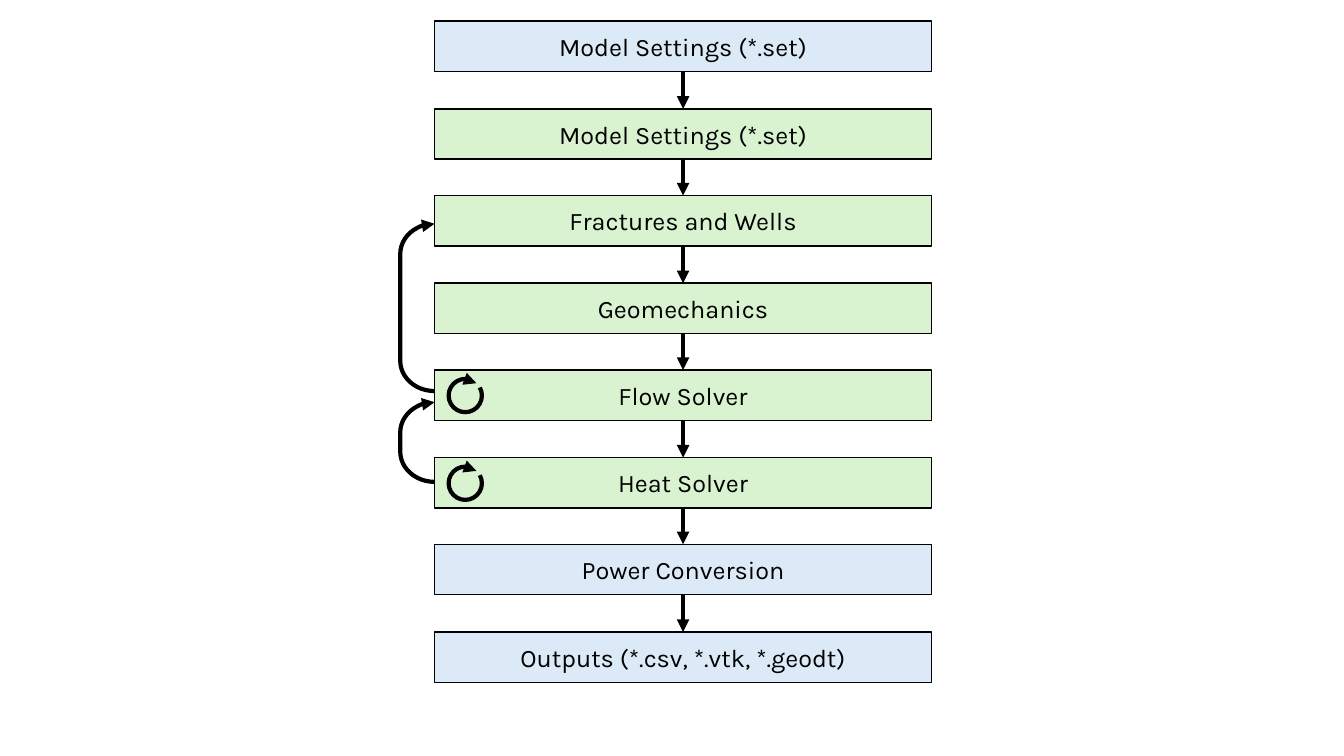
from dataclasses import dataclass

from lxml.etree import SubElement
from pptx import Presentation
from pptx.dml.color import RGBColor
from pptx.enum.shapes import MSO_CONNECTOR, MSO_SHAPE
from pptx.enum.text import MSO_ANCHOR, PP_ALIGN
from pptx.oxml.ns import qn
from pptx.util import Emu, Pt


@dataclass(frozen=True)
class Theme:
    ink: RGBColor = RGBColor(0x00, 0x00, 0x00)
    file_stage: RGBColor = RGBColor(0xDC, 0xEA, 0xF7)
    model_stage: RGBColor = RGBColor(0xD9, 0xF2, 0xD0)
    font: str = "Karla"
    label_size: Pt = Pt(18)
    border: Pt = Pt(1)
    arrow: Pt = Pt(3)


THEME = Theme()
EMU_PER_PX = 9144  # 100 px to the inch

STAGE_LEFT, STAGE_TOP = 431, 21
STAGE_WIDTH, STAGE_HEIGHT = 493, 50
TWO_STAGE_PITCH = 173
LOOP_LEFT, LOOP_WIDTH = 397, 34
ARC_UNITS_PER_DEGREE = 0.6

STAGES = [
    ("Model Settings (*.set)", THEME.file_stage),
    ("Model Settings (*.set)", THEME.model_stage),
    ("Fractures and Wells", THEME.model_stage),
    ("Geomechanics", THEME.model_stage),
    ("Flow Solver", THEME.model_stage),
    ("Heat Solver", THEME.model_stage),
    ("Power Conversion", THEME.file_stage),
    ("Outputs (*.csv, *.vtk, *.geodt)", THEME.file_stage),
]
SOLVER_ROWS = (4, 5)
FEEDBACK_SPANS = [(222, 166), (399, 79)]  # top and height of each loop


def px(length):
    return Emu(length * EMU_PER_PX)


def stage_top(row):
    return STAGE_TOP + (row * TWO_STAGE_PITCH + 1) // 2


def style_arrow(arrow):
    arrow.line.color.rgb = THEME.ink
    arrow.line.width = THEME.arrow
    SubElement(arrow.line._get_or_add_ln(), qn("a:tailEnd"), type="triangle")


def add_stage(slide, row, label, colour):
    stage = slide.shapes.add_shape(
        MSO_SHAPE.RECTANGLE, px(STAGE_LEFT), px(stage_top(row)),
        px(STAGE_WIDTH), px(STAGE_HEIGHT))
    stage.shadow.inherit = False
    stage.fill.solid()
    stage.fill.fore_color.rgb = colour
    stage.line.color.rgb = THEME.ink
    stage.line.width = THEME.border
    stage.text_frame.text = label
    stage.text_frame.vertical_anchor = MSO_ANCHOR.MIDDLE
    paragraph = stage.text_frame.paragraphs[0]
    paragraph.alignment = PP_ALIGN.CENTER
    font = paragraph.runs[0].font
    font.name = THEME.font
    font.size = THEME.label_size
    font.color.rgb = THEME.ink
    return stage


def add_step(slide, upper, lower):
    step = slide.shapes.add_connector(MSO_CONNECTOR.STRAIGHT, 0, 0, 0, 0)
    step.begin_connect(upper, 2)
    step.end_connect(lower, 0)
    style_arrow(step)
    SubElement(step._element.spPr, qn("a:effectLst"))


def add_curved_arrow(slide, preset, left, top, width, height, adjustments):
    curve = slide.shapes.add_shape(
        preset, px(left), px(top), px(width), px(height))
    for index, value in enumerate(adjustments):
        curve.adjustments[index] = value
    curve.fill.background()
    style_arrow(curve)
    curve.shadow.inherit = False


def main():
    presentation = Presentation()
    presentation.slide_width = px(1333)
    presentation.slide_height = px(750)
    slide = presentation.slides.add_slide(presentation.slide_layouts[6])

    # Stages, from settings down to outputs
    stages = [add_stage(slide, row, label, colour)
              for row, (label, colour) in enumerate(STAGES)]
    for upper, lower in zip(stages, stages[1:]):
        add_step(slide, upper, lower)

    # Iteration marks inside the solvers
    iteration_angles = [angle * ARC_UNITS_PER_DEGREE for angle in (331, 312)]
    for row in SOLVER_ROWS:
        add_curved_arrow(slide, MSO_SHAPE.ARC, 445, stage_top(row) + 9,
                         33, 33, iteration_angles)

    # Feedback loops to earlier stages
    for top, height in FEEDBACK_SPANS:
        add_curved_arrow(slide, MSO_SHAPE.LEFT_BRACKET, LOOP_LEFT, top,
                         LOOP_WIDTH, height, [0.88])

    presentation.save("out.pptx")


if __name__ == "__main__":
    main()
